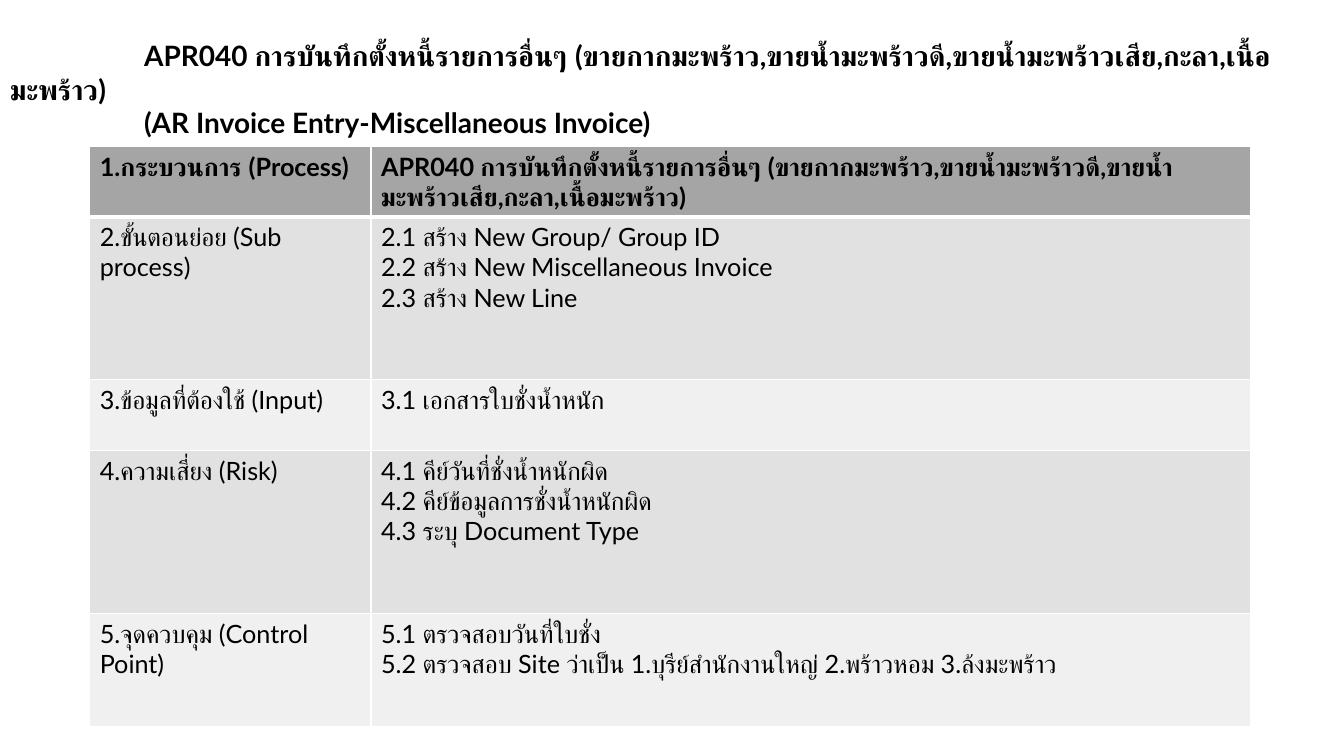
import pptx
import pptx.util
import pptx.dml.color
import pptx.enum.text
import pptx.oxml

Pt = pptx.util.Pt
NS = "http://schemas.openxmlformats.org/drawingml/2006/main"
HEAD = ("APR040 การบันทึกตั้งหนี้รายการอื่นๆ "
        "(ขายกากมะพร้าว,ขายน้ำมะพร้าวดี,ขายน้ำมะพร้าวเสีย,กะลา,เนื้อมะพร้าว)")
ROWS = [
    (50, "1.กระบวนการ (Process)", [HEAD]),
    (116.5, "2.ขั้นตอนย่อย (Sub process)",
     ["2.1 สร้าง New Group/ Group ID",
      "2.2 สร้าง New Miscellaneous Invoice",
      "2.3 สร้าง New Line"]),
    (50.5, "3.ข้อมูลที่ต้องใช้ (Input)", ["3.1 เอกสารใบชั่งน้ำหนัก"]),
    (116.5, "4.ความเสี่ยง (Risk)",
     ["4.1 คีย์วันที่ชั่งน้ำหนักผิด",
      "4.2 คีย์ข้อมูลการชั่งน้ำหนักผิด",
      "4.3 ระบุ Document Type"]),
    (81, "5.จุดควบคุม (Control Point)",
     ["5.1 ตรวจสอบวันที่ใบชั่ง",
      "5.2 ตรวจสอบ Site ว่าเป็น 1.บุรีย์สำนักงานใหญ่ 2.พร้าวหอม 3.ล้งมะพร้าว"]),
]
COLS = [200.9, 628.6]


def color(code):
    return pptx.dml.color.RGBColor.from_string(code)


def write(frame, lines, size=18, bold=False, indent=0):
    for i, line in enumerate(lines):
        para = frame.paragraphs[0] if i == 0 else frame.add_paragraph()
        para.alignment = pptx.enum.text.PP_ALIGN.LEFT
        if indent:
            props = para._p.get_or_add_pPr()
            props.set("marL", "0")
            props.set("indent", str(Pt(indent)))
        run = para.add_run()
        run.text = line
        run.font.name = "Lato"
        run.font.size = Pt(size)
        run.font.bold = bold
        run.font.color.rgb = color("000000")


def border(cell, code, **widths):
    props = cell._tc.get_or_add_tcPr()
    for side in "LRTB":
        width = Pt(widths.get(side, 1))
        props.append(pptx.oxml.parse_xml(
            f'<a:ln{side} xmlns:a="{NS}" w="{width}"><a:solidFill>'
            f'<a:srgbClr val="{code}"/></a:solidFill></a:ln{side}>'))


def title(slide):
    shape = slide.shapes.title
    shape.left, shape.top = Pt(0), Pt(0)
    shape.width, shape.height = Pt(960), Pt(104.4)
    frame = shape.text_frame
    frame.word_wrap = True
    frame.auto_size = pptx.enum.text.MSO_AUTO_SIZE.NONE
    frame.vertical_anchor = pptx.enum.text.MSO_ANCHOR.TOP
    frame.margin_top = Pt(27.6)
    write(frame, [HEAD, "(AR Invoice Entry-Miscellaneous Invoice)"],
          size=20, bold=True, indent=95.7)


def table(slide):
    total = sum(row[0] for row in ROWS)
    grid = slide.shapes.add_table(len(ROWS), len(COLS), Pt(64.1), Pt(104.4),
                                  Pt(sum(COLS)), Pt(total)).table
    for col, width in zip(grid.columns, COLS):
        col.width = Pt(width)
    for r, (height, label, lines) in enumerate(ROWS):
        grid.rows[r].height = Pt(height)
        top = r == 0
        fill = "A5A5A5" if top else ("F0F0F0", "E1E1E1")[r % 2]
        for c, text in enumerate([[label], lines]):
            cell = grid.cell(r, c)
            border(cell, "FFFFFF", T=3 if r == 1 else 1, B=3 if top else 1)
            cell.fill.solid()
            cell.fill.fore_color.rgb = color(fill)
            write(cell.text_frame, text, bold=top)


def main():
    deck = pptx.Presentation()
    deck.slide_width, deck.slide_height = Pt(960), Pt(540)
    slide = deck.slides.add_slide(deck.slide_layouts[5])
    title(slide)
    table(slide)
    deck.save("out.pptx")


if __name__ == "__main__":
    main()
